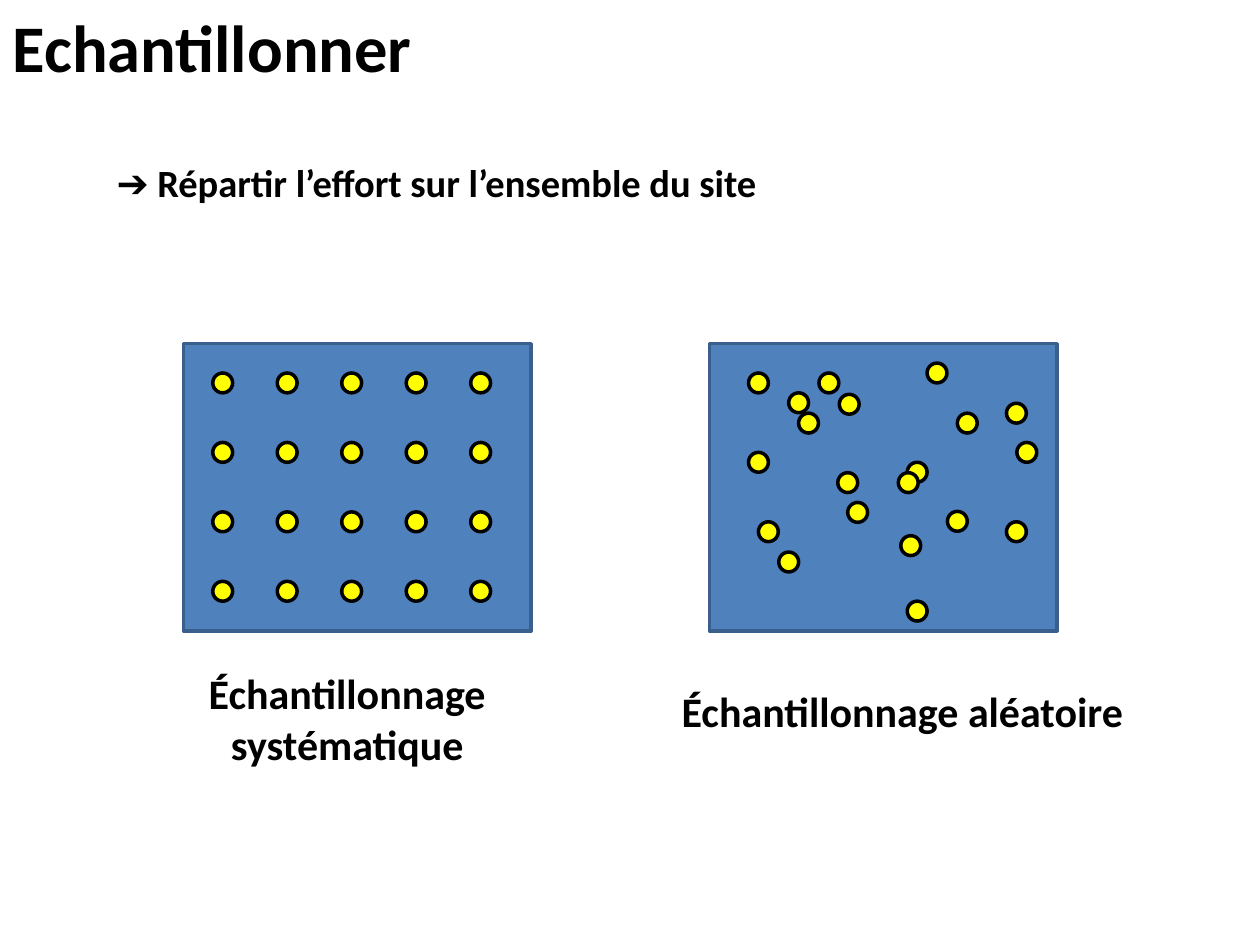
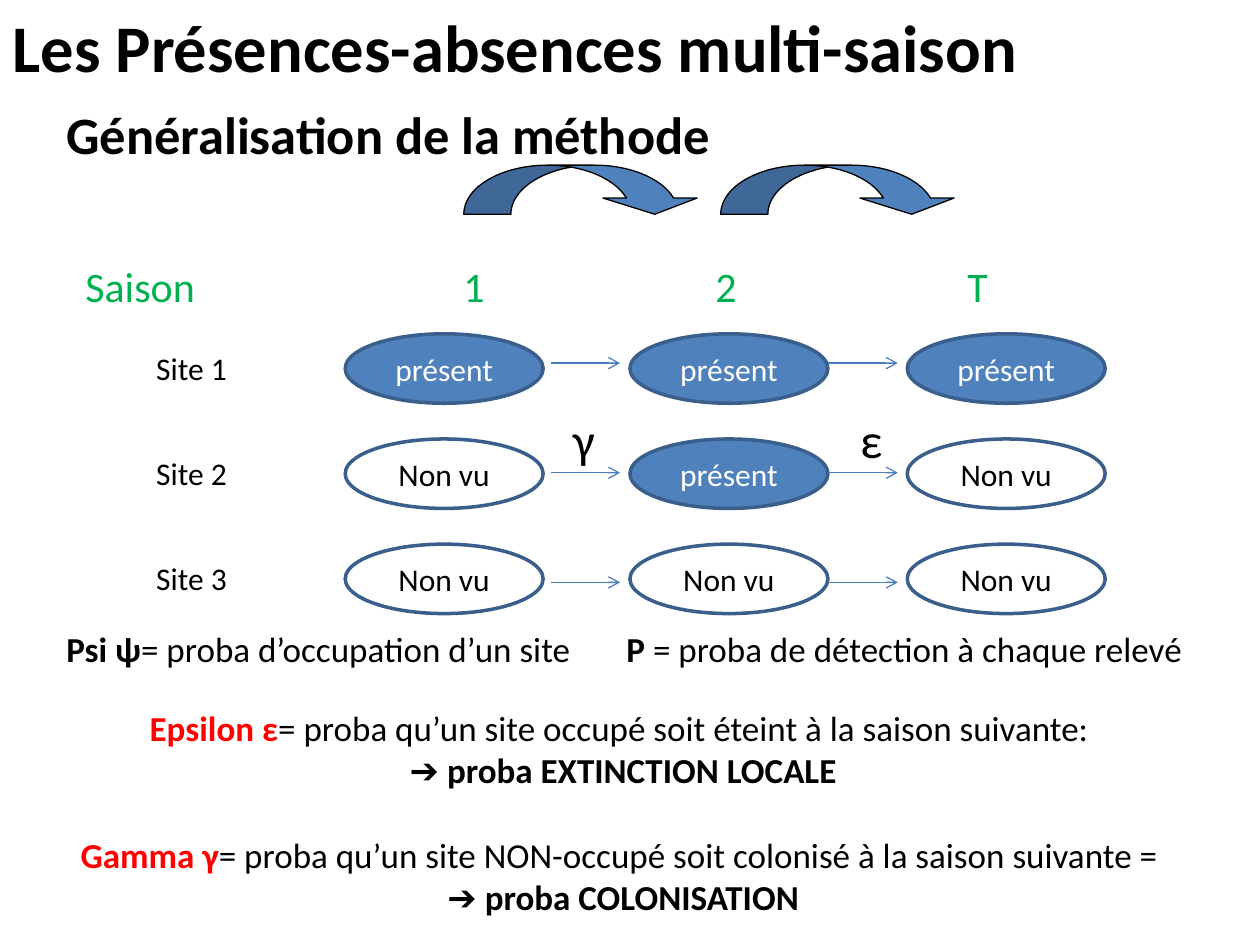
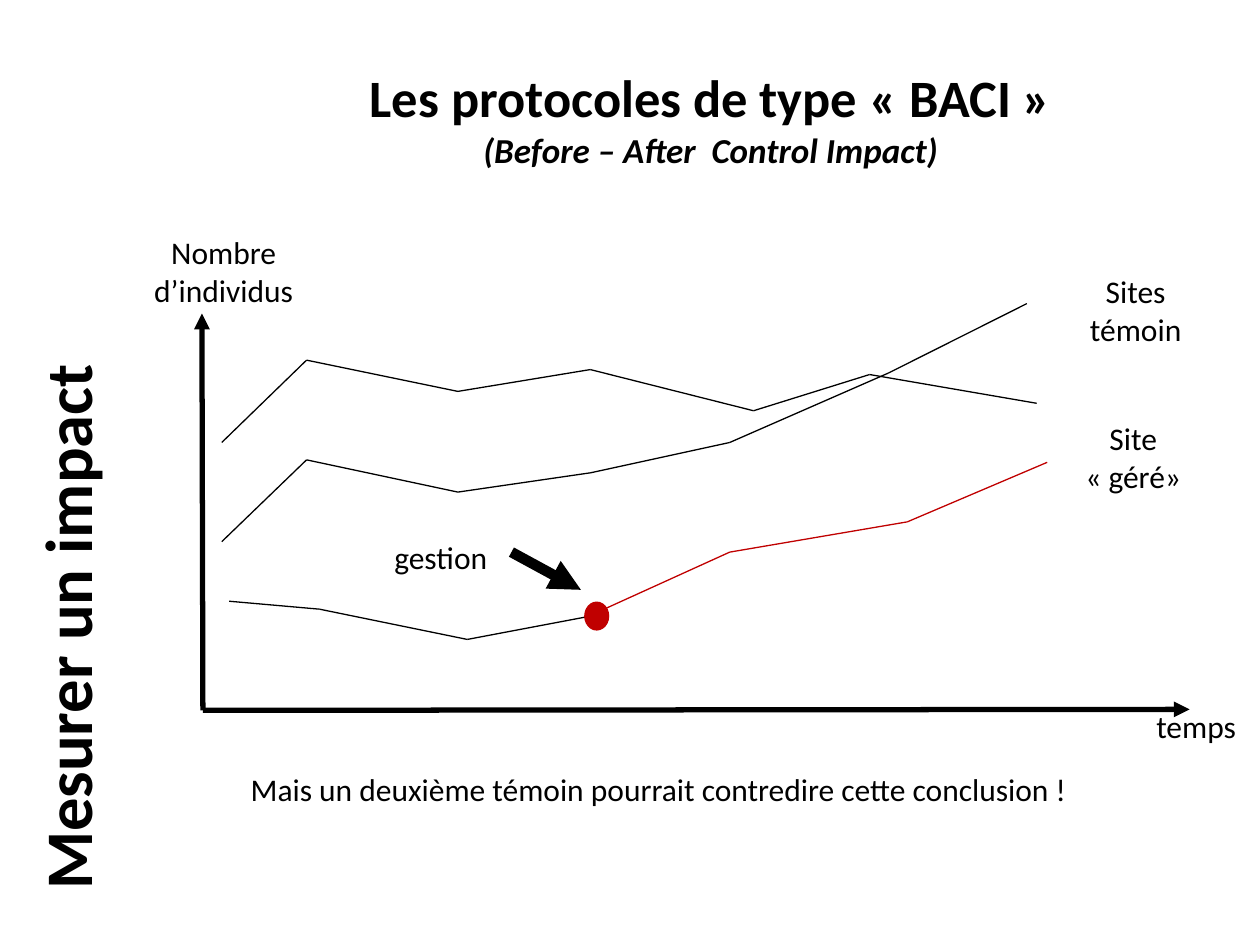
from itertools import pairwise, product

from pptx import Presentation
from pptx.dml.color import RGBColor
from pptx.enum.shapes import MSO_CONNECTOR, MSO_SHAPE
from pptx.enum.text import MSO_ANCHOR, MSO_AUTO_SIZE, PP_ALIGN
from pptx.oxml.ns import qn
from pptx.oxml.xmlchemy import OxmlElement
from pptx.util import Cm, Pt

RECT, OVAL = MSO_SHAPE.RECTANGLE, MSO_SHAPE.OVAL
CURVE = MSO_SHAPE.CURVED_DOWN_ARROW
STRAIGHT = MSO_CONNECTOR.STRAIGHT
LEFT, CENTER = PP_ALIGN.LEFT, PP_ALIGN.CENTER
TOP, MIDDLE = MSO_ANCHOR.TOP, MSO_ANCHOR.MIDDLE
NO_FIT = MSO_AUTO_SIZE.NONE

FONT = "Calibri"
BLACK, WHITE, RED, GREEN = "000000", "FFFFFF", "FF0000", "00B050"
BLUE, EDGE, LINK = "4F81BD", "3A5F8C", "4B7EBC"
YELLOW, DARK = "FFFF00", "C00000"

# Left and top of each random sample point, in cm
RANDOM = [
    (15.09, 7.52), (16.51, 7.52), (17.09, 10.13), (18.69, 7.32),
    (19.3, 8.33), (20.29, 8.13), (20.5, 8.92), (16.1, 8.33),
    (15.9, 7.92), (18.29, 9.32), (16.89, 9.53), (18.11, 9.53),
    (15.09, 9.12), (20.29, 10.52), (16.92, 7.95), (15.29, 10.52),
    (18.29, 12.12), (15.7, 11.13), (18.16, 10.8), (19.1, 10.31),
]

# What is seen at each site, season by season
SEEN = [(True, True, True), (False, True, False), (False, False, False)]

# Curves of the BACI graph: colour and points in cm
CURVES = [
    (BLACK, [(4.47, 8.92), (6.18, 7.26), (9.23, 7.89), (11.9, 7.45),
             (15.19, 8.28), (17.53, 7.55), (20.9, 8.13)]),
    (BLACK, [(4.47, 10.92), (6.18, 9.27), (9.23, 9.92), (11.91, 9.53),
             (14.71, 8.92), (17.91, 7.52), (20.7, 6.12)]),
    (BLACK, [(4.62, 12.12), (6.44, 12.28), (9.42, 12.89), (12.01, 12.4)]),
    (DARK, [(12.09, 12.32), (14.71, 11.13), (18.29, 10.52), (21.11, 9.32)]),
]


def rgb(code):
    return RGBColor.from_string(code)


def run(text, size=18, color=BLACK, bold=False, italic=False):
    return text, size, color, bold, italic


def write(frame, paras, align=LEFT, anchor=TOP):
    """Fill a frame with paragraphs, each one a list of runs."""
    frame.word_wrap = True
    frame.auto_size = NO_FIT
    frame.vertical_anchor = anchor
    for i, runs in enumerate(paras):
        para = frame.add_paragraph() if i else frame.paragraphs[0]
        para.alignment = align
        for text, size, color, bold, italic in runs:
            part = para.add_run()
            part.text = text
            font = part.font
            font.name, font.size = FONT, Pt(size)
            font.bold, font.italic = bold, italic
            font.color.rgb = rgb(color)


def set_tabs(para, stops):
    tabs = OxmlElement("a:tabLst")
    for stop in stops:
        tab = OxmlElement("a:tab")
        tab.set("pos", str(Cm(stop)))
        tab.set("algn", "l")
        tabs.append(tab)
    para._p.get_or_add_pPr().append(tabs)


def place(shape, x, y, w, h):
    shape.left, shape.top = Cm(x), Cm(y)
    shape.width, shape.height = Cm(w), Cm(h)


def add_slide(deck, title, box, turn=0):
    slide = deck.slides.add_slide(deck.slide_layouts[5])
    head = slide.shapes.title
    place(head, *box)
    head.rotation = turn
    write(head.text_frame, [[run(title, 38, bold=True)]])
    return slide


def add_text(slide, box, paras, align=LEFT):
    frame = slide.shapes.add_textbox(*map(Cm, box)).text_frame
    write(frame, paras, align)
    return frame


def add_shape(slide, kind, box, fill, edge, width=2):
    shape = slide.shapes.add_shape(kind, *map(Cm, box))
    shape.shadow.inherit = False
    if fill:
        shape.fill.solid()
        shape.fill.fore_color.rgb = rgb(fill)
    else:
        shape.fill.background()
    shape.line.color.rgb = rgb(edge)
    shape.line.width = Pt(width)
    return shape


def add_line(slide, start, end, color=BLACK, width=0.75, tip=None):
    line = slide.shapes.add_connector(STRAIGHT, *map(Cm, (*start, *end)))
    line.line.color.rgb = rgb(color)
    line.line.width = Pt(width)
    props = line._element.spPr
    if tip:
        tail = OxmlElement("a:tailEnd")
        tail.set("type", tip)
        props.find(qn("a:ln")).append(tail)
    props.append(OxmlElement("a:effectLst"))


def build_sample(deck):
    slide = add_slide(deck, "Echantillonner", (0, 0, 9.73, 1.88))
    add_text(slide, (2.1, 3.08, 23, 2.13),
             [[run("➔ Répartir l’effort sur l’ensemble du site", 22, bold=True)]])

    # Sites and their sample points
    for x in (3.7, 14.3):
        add_shape(slide, RECT, (x, 6.93, 7.01, 5.79), BLUE, EDGE)
    grid = [(4.29 + 1.3 * col, 7.52 + 1.4 * row)
            for row, col in product(range(4), range(5))]
    for x, y in grid + RANDOM:
        add_shape(slide, OVAL, (x, y, 0.4, 0.4), YELLOW, BLACK)

    # Captions
    add_text(slide, (3.1, 13.34, 7.8, 2.31),
             [[run("Échantillonnage systématique", 24, bold=True)]], CENTER)
    add_text(slide, (13.49, 13.69, 9.53, 1.27),
             [[run("Échantillonnage aléatoire", 24, bold=True)]])


def build_seasons(deck):
    slide = add_slide(deck, "Les Présences-absences multi-saison",
                      (0, 0, 20.96, 1.88))

    # Season header
    frame = add_text(slide, (1.47, 5.13, 21.03, 1.27),
                     [[run("Saison\t1\t2\tT", 24, GREEN)]])
    set_tabs(frame.paragraphs[0], (7.62, 12.7, 17.78))
    for x in (9.35, 14.53):
        curve = add_shape(slide, CURVE, (x, 3.33, 4.8, 0.99), BLUE, BLACK, 0.75)
        for i, value in enumerate((0.96, 1.92, 0.33)):
            curve.adjustments[i] = value
    add_text(slide, (1.09, 1.93, 13.64, 1.55),
             [[run("Généralisation de la méthode", 30, bold=True)]])

    # Sites by season
    for row, states in enumerate(SEEN):
        y = 6.73 + 2.12 * row
        add_text(slide, (2.9, y + 0.18, 2.1, 1.02), [[run(f"Site {row + 1}")]])
        for x, seen in zip((6.96, 12.7, 18.29), states):
            oval = add_shape(slide, OVAL, (x, y, 3.99, 1.4),
                             BLUE if seen else None, EDGE)
            label = run("présent", color=WHITE) if seen else run("Non vu")
            write(oval.text_frame, [[label]], CENTER, MIDDLE)
        level = 7.32 + 2.21 * row
        for x in (11.1, 16.7):
            add_line(slide, (x, level), (x + 1.4, level), LINK, tip="arrow")
    for x, sign in ((11.3, "γ"), (17.09, "ε")):
        add_text(slide, (x, 8.13, 0.97, 1.45), [[run(sign, 28)]])

    # Definitions
    frame = add_text(slide, (1.3, 14.12, 22.53, 4.52), [
        [run("Epsilon ε", 20, RED, True),
         run("= proba qu’un site occupé soit éteint à la saison suivante: ", 20)],
        [run("➔ ", 20), run("proba EXTINCTION LOCALE", 20, bold=True)],
        [run("Gamma γ", 20, RED, True),
         run("= proba qu’un site NON-occupé soit colonisé à la saison suivante = ", 20)],
        [run("➔ ", 20), run("proba COLONISATION", 20, bold=True)],
    ], CENTER)
    frame.paragraphs[2].space_before = Pt(24.4)
    frame = add_text(slide, (1.09, 12.52, 23.83, 1.12), [
        [run("Psi ψ", 20, bold=True),
         run("= proba d’occupation d’un site\t", 20),
         run("P", 20, bold=True),
         run(" = proba de détection à chaque relevé", 20)],
    ])
    set_tabs(frame.paragraphs[0], [11.29])


def build_impact(deck):
    slide = add_slide(deck, "Mesurer un impact", (-4.9, 11.02, 12.47, 1.88), 270)
    add_text(slide, (7.14, 1.19, 14.38, 2.39), [
        [run("Les protocoles de type « BACI »", 30, bold=True)],
        [run("(Before – After  Control Impact)", 20, bold=True, italic=True)],
    ], CENTER)

    # Axes
    origin = (4.09, 14.32)
    for end in ((4.07, 6.32), (23.98, 14.3)):
        add_line(slide, origin, end, width=3, tip="triangle")

    # Curves
    for color, points in CURVES:
        for start, end in pairwise(points):
            add_line(slide, start, end, color)

    # Start of the management
    add_line(slide, (10.31, 11.13), (11.71, 11.89), width=6, tip="triangle")
    add_shape(slide, OVAL, (11.79, 12.14, 0.48, 0.56), DARK, DARK, 0.75)

    # Labels
    labels = [
        ((23.06, 14.12, 2.24, 1.02), ["temps"], LEFT),
        ((7.7, 10.72, 2.57, 1.02), ["gestion"], LEFT),
        ((2.77, 4.57, 3.48, 1.78), ["Nombre", "d’individus"], CENTER),
        ((21.69, 5.36, 2.41, 1.78), ["Sites", "témoin"], CENTER),
        ((21.51, 8.33, 2.67, 1.78), ["Site", "« géré»"], CENTER),
        ((1.85, 15.39, 22.86, 1.02),
         ["Mais un deuxième témoin pourrait contredire cette conclusion !"], CENTER),
    ]
    for box, texts, align in labels:
        add_text(slide, box, [[run(text)] for text in texts], align)


def main():
    deck = Presentation()
    deck.slide_width, deck.slide_height = Cm(25.4), Cm(19.05)
    build_sample(deck)
    build_seasons(deck)
    build_impact(deck)
    deck.save("out.pptx")


if __name__ == "__main__":
    main()
